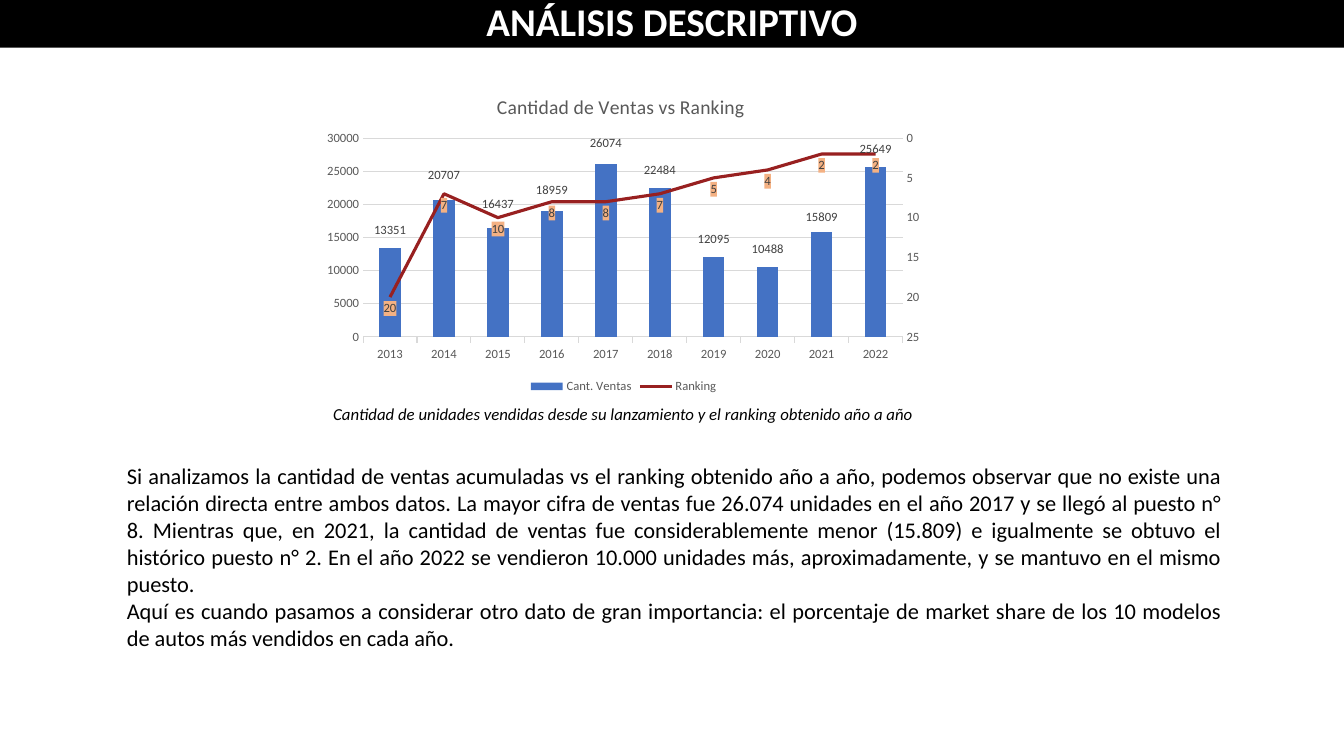
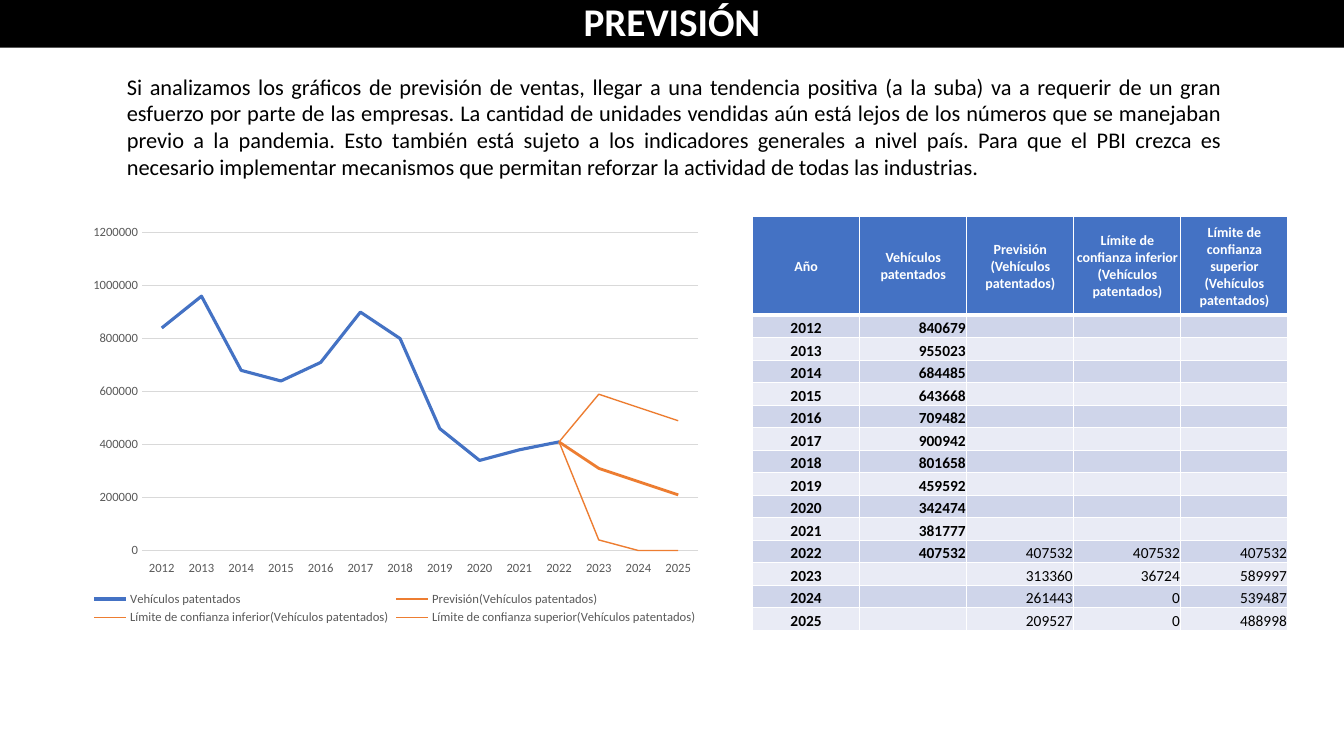
"""Builds two sales slides: a descriptive analysis and a forecast."""
from copy import deepcopy

from lxml.etree import SubElement
from pptx import Presentation
from pptx.chart.axis import CategoryAxis, ValueAxis
from pptx.chart.data import CategoryChartData
from pptx.dml.color import RGBColor
from pptx.enum.chart import XL_CHART_TYPE, XL_LABEL_POSITION, XL_LEGEND_POSITION, XL_TICK_LABEL_POSITION, XL_TICK_MARK
from pptx.enum.text import MSO_ANCHOR, MSO_AUTO_SIZE, PP_ALIGN
from pptx.oxml import parse_xml
from pptx.oxml.ns import nsdecls, qn
from pptx.util import Pt

FONT = "Calibri"
BLACK, WHITE, GREY, DARK, RULE = "000000", "FFFFFF", "595959", "404040", "D9D9D9"
BLUE, ORANGE, RED, PEACH = "4472C4", "ED7D31", "982020", "F4B183"
ROW_FILLS = ("CFD5EA", "E9EBF5")

ANALYSIS = {
    "title": "ANÁLISIS DESCRIPTIVO",
    "chart_title": "Cantidad de Ventas vs Ranking",
    "years": [str(year) for year in range(2013, 2023)],
    "series": [
        ("Cant. Ventas", [13351, 20707, 16437, 18959, 26074, 22484, 12095, 10488, 15809, 25649]),
        ("Ranking", [20, 7, 10, 8, 8, 7, 5, 4, 2, 2]),
    ],
    "label_lifts": [0.02, 0.04, 0.04, 0.03, 0.03, 0.02, 0.02, 0.02, 0.01, 0.02],
    "caption": "Cantidad de unidades vendidas desde su lanzamiento y el ranking obtenido año a año",
    "body": [
        "Si analizamos la cantidad de ventas acumuladas vs el ranking obtenido año a año, podemos observar que no "
        "existe una relación directa entre ambos datos. La mayor cifra de ventas fue 26.074 unidades en el año 2017 y "
        "se llegó al puesto n° 8. Mientras que, en 2021, la cantidad de ventas fue considerablemente menor (15.809) e "
        "igualmente se obtuvo el histórico puesto n° 2. En el año 2022 se vendieron 10.000 unidades más, "
        "aproximadamente, y se mantuvo en el mismo puesto.",
        "Aquí es cuando pasamos a considerar otro dato de gran importancia: el porcentaje de market share de los 10 "
        "modelos de autos más vendidos en cada año.",
    ],
}

FORECAST = {
    "title": "PREVISIÓN",
    "body": [
        "Si analizamos los gráficos de previsión de ventas, llegar a una tendencia positiva (a la suba) va a requerir "
        "de un gran esfuerzo por parte de las empresas. La cantidad de unidades vendidas aún está lejos de los números "
        "que se manejaban previo a la pandemia. Esto también está sujeto a los indicadores generales a nivel país. "
        "Para que el PBI crezca es necesario implementar mecanismos que permitan reforzar la actividad de todas las "
        "industrias.",
    ],
    "header": [
        "Año",
        "Vehículos patentados",
        "Previsión\n(Vehículos patentados)",
        "Límite de confianza inferior\n(Vehículos patentados)",
        "Límite de confianza superior\n(Vehículos patentados)",
    ],
    "rows": [
        (2012, 840679, None, None, None),
        (2013, 955023, None, None, None),
        (2014, 684485, None, None, None),
        (2015, 643668, None, None, None),
        (2016, 709482, None, None, None),
        (2017, 900942, None, None, None),
        (2018, 801658, None, None, None),
        (2019, 459592, None, None, None),
        (2020, 342474, None, None, None),
        (2021, 381777, None, None, None),
        (2022, 407532, 407532, 407532, 407532),
        (2023, None, 313360, 36724, 589997),
        (2024, None, 261443, 0, 539487),
        (2025, None, 209527, 0, 488998),
    ],
    "lines": [(BLUE, 2.25), (ORANGE, 2), (ORANGE, 1), (ORANGE, 1)],
}


def rgb(value):
    return RGBColor.from_string(value)


def apply(target, **values):
    for name, value in values.items():
        setattr(target, name, value)


def paint(fill, color):
    fill.solid()
    fill.fore_color.rgb = rgb(color)


def stroke(line, color, width):
    paint(line.fill, color)
    line.width = Pt(width)


def set_font(font, size, color, **values):
    apply(font, name=FONT, size=Pt(size), **values)
    font.color.rgb = rgb(color)


def fill_text(frame, paragraphs, size, color, align, spacing=None, **values):
    frame.text = "\n".join(paragraphs)
    for paragraph in frame.paragraphs:
        apply(paragraph, alignment=align, line_spacing=spacing)
        for run in paragraph.runs:
            set_font(run.font, size, color, **values)


def add_titled_slide(deck, title):
    slide = deck.slides.add_slide(deck.slide_layouts[5])
    band = slide.shapes.title
    apply(band, left=0, top=0, width=deck.slide_width, height=Pt(34))
    paint(band.fill, BLACK)
    apply(band.text_frame, vertical_anchor=MSO_ANCHOR.MIDDLE, auto_size=MSO_AUTO_SIZE.NONE)
    fill_text(band.text_frame, [title], 28, WHITE, PP_ALIGN.CENTER, 0.9, bold=True)
    return slide


def add_text(slide, box, paragraphs, size, align, **values):
    frame = slide.shapes.add_textbox(*map(Pt, box)).text_frame
    apply(frame, word_wrap=True, auto_size=MSO_AUTO_SIZE.SHAPE_TO_FIT_TEXT)
    fill_text(frame, paragraphs, size, BLACK, align, **values)


def place(parent, index, **fractions):
    """Sets the manual layout of a chart part, as fractions of the chart."""
    for old in parent.findall(qn("c:layout")):
        parent.remove(old)
    layout = parse_xml(f"<c:layout {nsdecls('c')}><c:manualLayout/></c:layout>")
    for name, value in fractions.items():
        SubElement(layout[0], qn(f"c:{name}"), val=str(value))
    parent.insert(index, layout)


def add_chart(slide, kind, box, categories, series, top_value, step, tick, plot_box):
    data = CategoryChartData(number_format="0")
    data.categories = categories
    for name, values in series:
        data.add_series(name, values)
    chart = slide.shapes.add_chart(kind, *map(Pt, box), data).chart
    set_font(chart.font, 10, BLACK)
    chart.has_title = False
    chart.has_legend = True
    apply(chart.legend, position=XL_LEGEND_POSITION.BOTTOM, include_in_layout=False)
    set_font(chart.legend.font, 9, GREY)
    chart.plots[0].vary_by_categories = False
    years, amounts = chart.category_axis, chart.value_axis
    for axis in (years, amounts):
        apply(axis, major_tick_mark=XL_TICK_MARK.NONE, minor_tick_mark=XL_TICK_MARK.NONE)
        set_font(axis.tick_labels.font, 9, GREY)
    apply(years, major_tick_mark=tick, tick_label_position=XL_TICK_LABEL_POSITION.LOW)
    stroke(years.format.line, RULE, 0.75)
    apply(amounts, minimum_scale=0, maximum_scale=top_value, major_unit=step, has_major_gridlines=True)
    amounts.format.line.fill.background()
    stroke(amounts.major_gridlines.format.line, RULE, 0.75)
    apply(amounts.tick_labels, number_format="0", number_format_is_linked=False)
    x, y, w, h = plot_box
    place(chart.element.xpath(".//c:plotArea")[0], 0, layoutTarget="inner", xMode="edge", yMode="edge",
          x=x, y=y, w=w, h=h)
    return chart


def move_ranking_to_line(chart):
    """Turns the second series into a line on a reversed right axis."""
    bars = chart.element.xpath(".//c:barChart")[0]
    ranking = bars.xpath("c:ser")[1]
    for flag in ranking.xpath("c:invertIfNegative"):
        ranking.remove(flag)
    lines = parse_xml(
        f'<c:lineChart {nsdecls("c")}><c:grouping val="standard"/><c:varyColors val="0"/>'
        '<c:marker val="1"/><c:axId val="5001"/><c:axId val="5002"/></c:lineChart>')
    lines.insert(2, ranking)
    bars.addnext(lines)
    left = chart.element.xpath(".//c:valAx")[0]
    right, hidden = deepcopy(left), deepcopy(chart.element.xpath(".//c:catAx")[0])
    for axis, own, other in ((hidden, "5001", "5002"), (right, "5002", "5001")):
        axis.find(qn("c:axId")).set("val", own)
        axis.find(qn("c:crossAx")).set("val", other)
    right.find(qn("c:axPos")).set("val", "r")
    right.find(qn("c:crosses")).set("val", "max")
    left.addnext(right)
    right.addnext(hidden)
    CategoryAxis(hidden).visible = False
    apply(ValueAxis(right), has_major_gridlines=False, reverse_order=True, maximum_scale=25, major_unit=5)


def label_series(labels, position):
    apply(labels, show_value=True, position=position)
    set_font(labels.font, 9, DARK)


def build_analysis(deck):
    slide = add_titled_slide(deck, ANALYSIS["title"])
    add_text(slide, (83.5, 326.9, 796.5, 143), ANALYSIS["body"], 16, PP_ALIGN.JUSTIFY)
    chart = add_chart(slide, XL_CHART_TYPE.COLUMN_CLUSTERED, (223.9, 55.2, 443, 229), ANALYSIS["years"],
                      ANALYSIS["series"], 30000, 5000, XL_TICK_MARK.OUTSIDE, (0.08, 0.19, 0.87, 0.62))
    chart.has_title = True
    fill_text(chart.chart_title.text_frame, [ANALYSIS["chart_title"]], 14, GREY, PP_ALIGN.CENTER, bold=False)
    place(chart.element.xpath(".//c:title")[0], 1, xMode="edge", yMode="edge", x=0.29, y=0.04)
    move_ranking_to_line(chart)

    bar_plot, line_plot = chart.plots
    bar_plot.gap_width = 150
    sales, ranking = bar_plot.series[0], line_plot.series[0]
    paint(sales.format.fill, BLUE)
    label_series(sales.data_labels, XL_LABEL_POSITION.OUTSIDE_END)
    for index in range(len(ANALYSIS["years"])):
        label = sales.points[index].data_label
        label.position = XL_LABEL_POSITION.OUTSIDE_END
        set_font(label.font, 9, DARK)
    for label, lift in zip(chart.element.xpath(".//c:barChart//c:dLbl"), ANALYSIS["label_lifts"]):
        place(label, 1, x=0, y=-lift)

    stroke(ranking.format.line, RED, 2.25)
    ranking.smooth = False
    line_marker = parse_xml(f'<c:marker {nsdecls("c")}><c:symbol val="none"/></c:marker>')
    chart.element.xpath(".//c:lineChart/c:ser/c:spPr")[0].addnext(line_marker)
    label_series(ranking.data_labels, XL_LABEL_POSITION.BELOW)
    chart.element.xpath(".//c:lineChart//c:dLbls/c:txPr")[0].addprevious(parse_xml(
        f'<c:spPr {nsdecls("c", "a")}><a:solidFill><a:srgbClr val="{PEACH}"/></a:solidFill></c:spPr>'))
    for leader in chart.element.xpath(".//c:showLeaderLines"):
        leader.set("val", "0")
    add_text(slide, (205.2, 284.2, 480, 22), [ANALYSIS["caption"]], 12, PP_ALIGN.CENTER, spacing=1.07, italic=True)


def set_borders(cell, **widths):
    properties = cell._tc.get_or_add_tcPr()
    for side in "LRTB":
        line = SubElement(properties, qn(f"a:ln{side}"), w=str(Pt(widths.get(side, 1))))
        SubElement(SubElement(line, qn("a:solidFill")), qn("a:srgbClr"), val=WHITE)


def fill_cell(cell, text, fill, size, color, align, anchor, bold, **borders):
    apply(cell, vertical_anchor=anchor, margin_left=Pt(0.72), margin_right=Pt(0.72), margin_top=Pt(0.72),
          margin_bottom=0)
    set_borders(cell, **borders)
    paint(cell.fill, fill)
    if text:
        fill_text(cell.text_frame, [text], size, color, align, bold=bold)
    else:
        SubElement(cell.text_frame.paragraphs[0]._p, qn("a:endParaRPr"), sz=str(size * 100))


def add_forecast_table(slide):
    header, rows = FORECAST["header"], FORECAST["rows"]
    table = slide.shapes.add_table(len(rows) + 1, len(header), *map(Pt, (537.6, 154.6, 382.5, 296))).table
    for column in table.columns:
        column.width = Pt(76.5)
    for index, row in enumerate(table.rows):
        row.height = Pt(16.1 if index else 70.6)
    for column, name in enumerate(header):
        fill_cell(table.cell(0, column), name, BLUE, 10, WHITE, PP_ALIGN.CENTER, MSO_ANCHOR.MIDDLE, True, B=3)
    for index, values in enumerate(rows, 1):
        for column, value in enumerate(values):
            fill_cell(table.cell(index, column), "" if value is None else str(value), ROW_FILLS[(index - 1) % 2],
                      11, BLACK, PP_ALIGN.RIGHT if column else PP_ALIGN.CENTER, MSO_ANCHOR.BOTTOM, column < 2,
                      T=3 if index == 1 else 1)


def build_forecast(deck):
    slide = add_titled_slide(deck, FORECAST["title"])
    add_text(slide, (83.5, 48.4, 796.5, 85), FORECAST["body"], 16, PP_ALIGN.JUSTIFY)
    years, *columns = zip(*FORECAST["rows"])
    names = [name.replace("\n", "") for name in FORECAST["header"][1:]]
    rounded = [[None if value is None else round(value, -4) for value in column] for column in columns]
    chart = add_chart(slide, XL_CHART_TYPE.LINE, (56.2, 154.4, 451.5, 295), [str(year) for year in years],
                      list(zip(names, rounded)), 1200000, 200000, XL_TICK_MARK.NONE, (0.1, 0.04, 0.88, 0.77))
    for series, (color, width) in zip(chart.plots[0].series, FORECAST["lines"]):
        stroke(series.format.line, color, width)
        series.smooth = False
    add_forecast_table(slide)


def main():
    deck = Presentation()
    apply(deck, slide_width=Pt(960), slide_height=Pt(540))
    build_analysis(deck)
    build_forecast(deck)
    deck.save("out.pptx")


if __name__ == "__main__":
    main()
